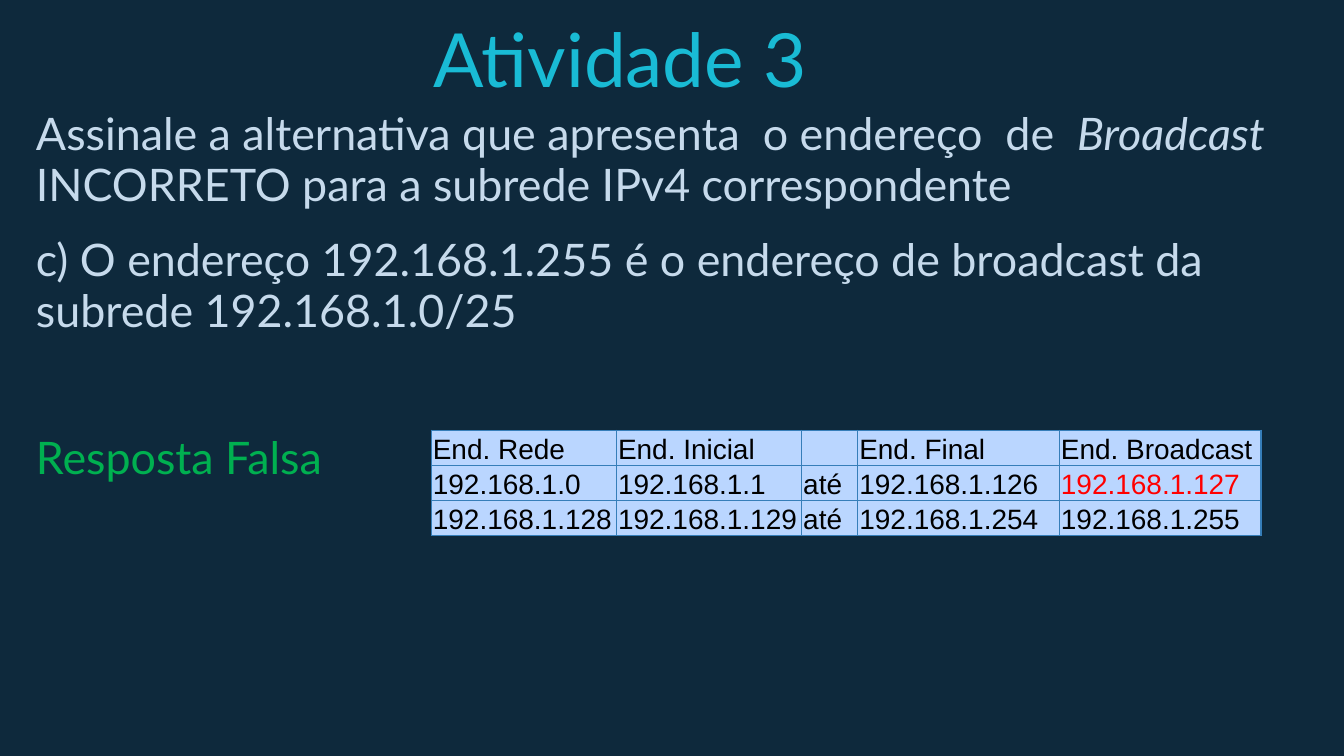
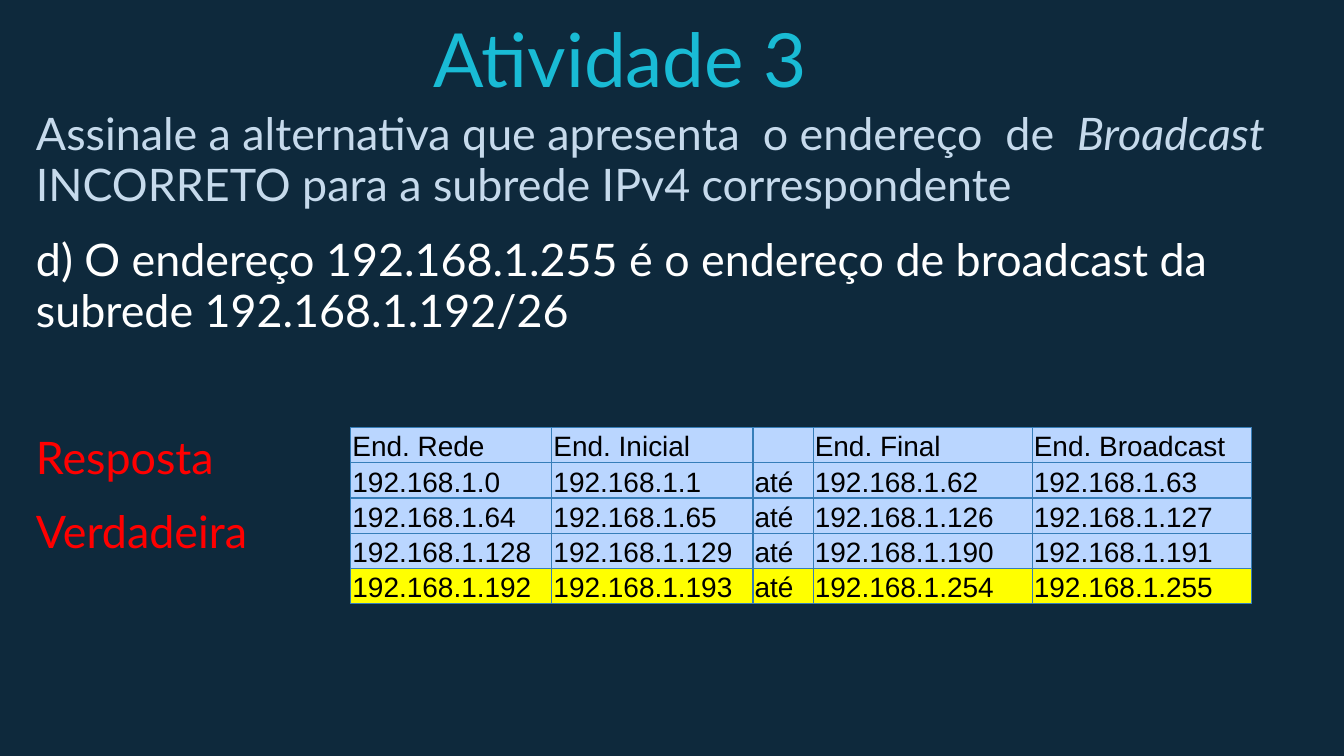
from dataclasses import dataclass

from lxml import etree
from pptx import Presentation
from pptx import util as u
from pptx.dml.color import RGBColor
from pptx.enum import text
from pptx.oxml import ns


@dataclass(frozen=True)
class Theme:
    bg: str = "0E293C"
    title: str = "19BBD5"
    body: str = "C6DAEC"
    white: str = "FFFFFF"
    black: str = "000000"
    red: str = "FF0000"
    green: str = "00B050"
    cell: str = "BAD6FF"
    mark: str = "FFFF00"
    border: str = "367EB9"
    font: str = "Lato"
    table_font: str = "Arial"
    title_pt: int = 40
    body_pt: int = 24
    table_pt: int = 15
    border_pt: float = 0.75
    line: float = 0.95
    gap_pt: float = 12.5
    answer_gap_pt: float = 51.5


T = Theme()

# Boxes: left, top, width, height in cm
TITLE_BOX = (4.85, 0.38, 13.74, 1.8)
BODY_BOX = (0.43, 1.83, 24.59, 1.8)
PADDING, CELL_PADDING, ROW_H = 0.25, 0.03, 0.53

HEADER = ("End. Rede", "End. Inicial", "", "End. Final", "End. Broadcast")

ACTIVITIES = [
    dict(
        claim="c) O endereço 192.168.1.255 é o endereço de broadcast da "
              "subrede 192.168.1.0/25",
        claim_color=T.body,
        answer=["Resposta Falsa"],
        answer_color=T.green,
        table_at=(8.15, 8.13),
        cols=(3.5, 3.5, 1.06, 3.81, 3.81),
        hosts=128,
        red_cells={(1, 4)},
        marked_rows=set(),
    ),
    dict(
        claim="d) O endereço 192.168.1.255 é o endereço de broadcast da "
              "subrede 192.168.1.192/26",
        claim_color=T.white,
        answer=["Resposta", "Verdadeira"],
        answer_color=T.red,
        table_at=(6.63, 8.08),
        cols=(3.8, 3.8, 1.14, 4.14, 4.14),
        hosts=64,
        red_cells=set(),
        marked_rows={4},
    ),
]


def add_run(p, content, size, color, font=T.font, italic=False):
    r = p.add_run()
    r.text = content
    r.font.name, r.font.size, r.font.italic = font, u.Pt(size), italic
    r.font.color.rgb = RGBColor.from_string(color)


def add_box(s, box):
    tf = s.shapes.add_textbox(*map(u.Cm, box)).text_frame
    tf.word_wrap = True
    tf.margin_left = tf.margin_right = u.Cm(PADDING)
    tf.margin_top = tf.margin_bottom = u.Cm(PADDING)
    return tf


def add_title(s, box):
    tf = add_box(s, box)
    tf.vertical_anchor = text.MSO_ANCHOR.BOTTOM
    p = tf.paragraphs[0]
    p.alignment = text.PP_ALIGN.CENTER
    add_run(p, "Atividade 3", T.title_pt, T.title)


def add_body(s, box, claim, claim_color, answer, answer_color):
    tf = add_box(s, box)

    # Question
    p = tf.paragraphs[0]
    p.line_spacing = T.line
    add_run(p, "Assinale a alternativa que apresenta  o endereço  de  ",
            T.body_pt, T.body)
    add_run(p, "Broadcast", T.body_pt, T.body, italic=True)
    add_run(p, " INCORRETO para a subrede IPv4 correspondente",
            T.body_pt, T.body)

    # Claim, then the answer set well below it
    parts = [(claim, claim_color, T.gap_pt)]
    for i, line in enumerate(answer):
        parts.append((line, answer_color, T.gap_pt if i else T.answer_gap_pt))
    for content, color, gap in parts:
        p = tf.add_paragraph()
        p.line_spacing, p.space_before = T.line, u.Pt(gap)
        add_run(p, content, T.body_pt, color)


def subnet_rows(hosts):
    rows = [HEADER]
    for net in range(0, 256, hosts):
        last = net + hosts - 1
        first_ip, start, end, broadcast = (
            f"192.168.1.{n}" for n in (net, net + 1, last - 1, last))
        rows.append((first_ip, start, "até", end, broadcast))
    return rows


def set_borders(cell):
    tc_pr = cell._tc.get_or_add_tcPr()
    for i, side in enumerate(("lnL", "lnR", "lnT", "lnB")):
        ln = etree.Element(ns.qn(f"a:{side}"), w=str(u.Pt(T.border_pt)))
        fill = etree.SubElement(ln, ns.qn("a:solidFill"))
        etree.SubElement(fill, ns.qn("a:srgbClr"), val=T.border)
        tc_pr.insert(i, ln)


def fill_cell(cell, content, color, fill):
    cell.margin_left = cell.margin_right = cell.margin_top = u.Cm(CELL_PADDING)
    cell.margin_bottom = 0
    cell.vertical_anchor = text.MSO_ANCHOR.BOTTOM
    cell.fill.solid()
    cell.fill.fore_color.rgb = RGBColor.from_string(fill)
    set_borders(cell)
    p = cell.text_frame.paragraphs[0]
    if content:
        add_run(p, content, T.table_pt, color, T.table_font)
    else:  # keeps the row from growing to the default type size
        etree.SubElement(p._p, ns.qn("a:endParaRPr"), sz=str(T.table_pt * 100))


def add_subnets(s, at, cols, hosts, red_cells, marked_rows):
    rows = subnet_rows(hosts)
    box = (*at, sum(cols), ROW_H * len(rows))
    tbl = s.shapes.add_table(len(rows), len(cols), *map(u.Cm, box)).table
    tbl.first_row = tbl.horz_banding = False
    for col, width in zip(tbl.columns, cols):
        col.width = u.Cm(width)
    for i, row in enumerate(rows):
        tbl.rows[i].height = u.Cm(ROW_H)
        for j, content in enumerate(row):
            fill_cell(tbl.cell(i, j), content,
                      T.red if (i, j) in red_cells else T.black,
                      T.mark if i in marked_rows else T.cell)


def add_activity(prs, a):
    s = prs.slides.add_slide(prs.slide_layouts[6])
    s.background.fill.solid()
    s.background.fill.fore_color.rgb = RGBColor.from_string(T.bg)
    add_body(s, BODY_BOX, a["claim"], a["claim_color"],
             a["answer"], a["answer_color"])
    add_title(s, TITLE_BOX)
    add_subnets(s, a["table_at"], a["cols"], a["hosts"],
                a["red_cells"], a["marked_rows"])


def main():
    prs = Presentation()
    prs.slide_width, prs.slide_height = u.Cm(25.4), u.Cm(14.29)
    for a in ACTIVITIES:
        add_activity(prs, a)
    prs.save("out.pptx")


if __name__ == "__main__":
    main()
